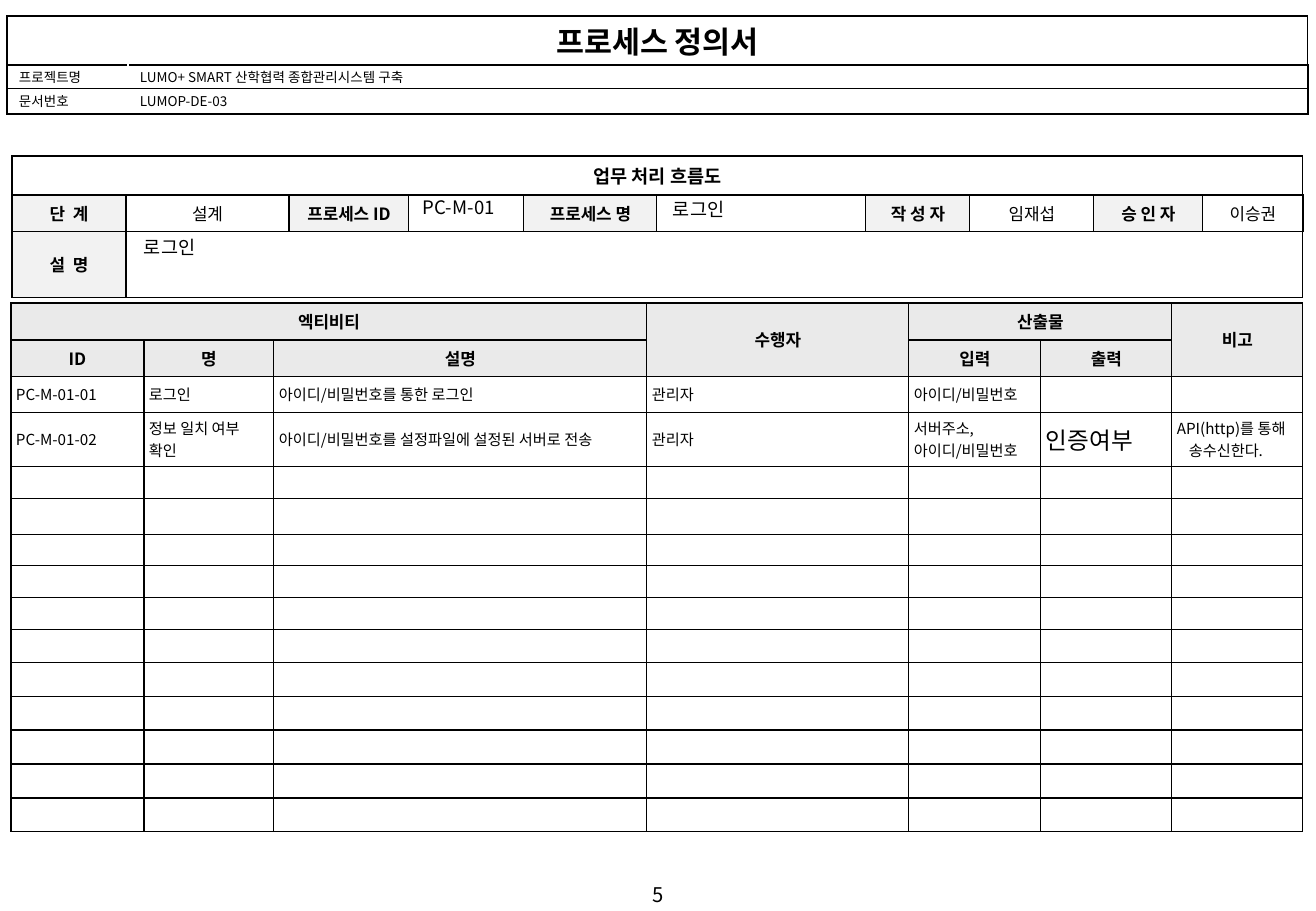
from lxml import etree
from pptx import Presentation
from pptx import util as u
from pptx.dml.color import RGBColor
from pptx.enum import text
from pptx.oxml.ns import qn

PX = 7526
THEME = {
    "font": "Noto Sans CJK KR", "latin": "Arial",
    "ink": "000000", "paper": "FFFFFF", "label": "F2F2F2", "header": "EAEAEA",
    "title": 18, "result": 14, "page": 12, "heading": 11, "head": 10, "body": 9, "small": 8,
}
LEFT, CENTER = text.PP_ALIGN.LEFT, text.PP_ALIGN.CENTER


def write(text_frame, words, size, bold=False, align=LEFT, font=THEME["font"]):
    for index, line in enumerate(words.split("\n")):
        paragraph = text_frame.paragraphs[0] if index == 0 else text_frame.add_paragraph()
        paragraph.alignment = align
        if not line:
            etree.SubElement(paragraph._p, qn("a:endParaRPr"), sz=str(THEME["small"] * 100))
            continue
        run = paragraph.add_run()
        run.text = line
        run.font.size = u.Pt(THEME[size])
        run.font.bold = bold
        run.font.name = font
        run.font.color.rgb = RGBColor.from_string(THEME["ink"])
        etree.SubElement(run._r.rPr, qn("a:ea"), typeface=THEME["font"])


def add_grid(left, top, columns, rows, thick_sides, divider="ink"):
    frame = slide.shapes.add_table(len(rows), len(columns), left * PX, top * PX,
                                   sum(columns) * PX, sum(rows) * PX)
    table = frame.table
    table.first_row = table.horz_banding = False
    for column, width in zip(table.columns, columns):
        column.width = width * PX
    for row, height in zip(table.rows, rows):
        row.height = height * PX
    for row in range(len(rows)):
        for column in range(len(columns)):
            cell = table.cell(row, column)
            edges = {"L": column == 0, "R": column == len(columns) - 1,
                     "T": row == 0, "B": row == len(rows) - 1}
            for side, outer in edges.items():
                thick = outer and side in thick_sides
                inner_vertical = side in "LR" and not outer and row > 0
                line = etree.SubElement(cell._tc.get_or_add_tcPr(), qn("a:ln" + side),
                                        w=str(u.Pt(1 if thick else 0.75)))
                fill = etree.SubElement(line, qn("a:solidFill"))
                etree.SubElement(fill, qn("a:srgbClr"),
                                 val=THEME[divider if inner_vertical else "ink"])
            cell.fill.solid()
            cell.fill.fore_color.rgb = RGBColor.from_string(THEME["paper"])
            cell.vertical_anchor = text.MSO_ANCHOR.MIDDLE
            cell.margin_left = cell.margin_right = 12 * PX
            cell.margin_top = cell.margin_bottom = 6 * PX
    return table


presentation = Presentation()
presentation.slide_width = 1316 * PX
presentation.slide_height = 911 * PX
slide = presentation.slides.add_slide(presentation.slide_layouts[6])

document = add_grid(7, 16, [121, 1180], [49, 24, 25], "LTRB", divider="paper")
document.cell(0, 0).merge(document.cell(0, 1))
document_rows = [
    ["프로세스 정의서", ""],
    ["프로젝트명", "LUMO+ SMART 산학협력 종합관리시스템 구축"],
    ["문서번호", "LUMOP-DE-03"],
]
for row, values in enumerate(document_rows):
    for column, words in enumerate(values):
        cell = document.cell(row, column)
        cell.vertical_anchor = text.MSO_ANCHOR.TOP
        cell.margin_top = cell.margin_bottom = 2 * PX
        if row == 0:
            write(cell.text_frame, words, "title", True, CENTER)
        else:
            write(cell.text_frame, words, "small")

process = add_grid(12, 156, [114, 163, 120, 115, 133, 209, 104, 124, 109, 100],
                   [39, 36, 66], "LTRB")
process.cell(0, 0).merge(process.cell(0, 9))
process.cell(2, 1).merge(process.cell(2, 9))
process_rows = [
    ["업무 처리 흐름도"] + [""] * 9,
    ["단  계", "설계", "프로세스 ID", "", "프로세스 명", "", "작 성 자", "임재섭", "승 인 자", "이승권"],
    ["설  명"] + [""] * 9,
]
for row, values in enumerate(process_rows):
    for column, words in enumerate(values):
        cell = process.cell(row, column)
        is_label = row > 0 and column % 2 == 0 and words != ""
        if is_label:
            cell.fill.fore_color.rgb = RGBColor.from_string(THEME["label"])
        write(cell.text_frame, words, "heading" if row == 0 else "head",
              is_label or row == 0, CENTER)

activities = add_grid(11, 303, [133, 130, 373, 262, 132, 131, 131],
                      [37, 36, 36, 54, 32, 36, 31, 32, 32, 33] + [34] * 5, "L")
for first, last in [((0, 0), (0, 2)), ((0, 3), (1, 3)), ((0, 4), (0, 5)), ((0, 6), (1, 6))]:
    activities.cell(*first).merge(activities.cell(*last))
activity_rows = [
    ["엑티비티", "", "", "수행자", "산출물", "", "비고"],
    ["ID", "명", "설명", "", "입력", "출력", ""],
    ["PC-M-01-01", "로그인", "아이디/비밀번호를 통한 로그인", "관리자", "아이디/비밀번호", "", ""],
    ["PC-M-01-02", "정보 일치 여부\n확인", "아이디/비밀번호를 설정파일에 설정된 서버로 전송", "관리자",
     "서버주소,\n아이디/비밀번호", "인증여부", "API(http)를 통해 송수신한다."],
] + [[""] * 7] * 11
for row, values in enumerate(activity_rows):
    for column, words in enumerate(values):
        cell = activities.cell(row, column)
        if row < 2:
            cell.fill.fore_color.rgb = RGBColor.from_string(THEME["header"])
            write(cell.text_frame, words, "head", True, CENTER)
            continue
        cell.fill.background()
        cell.margin_left = cell.margin_right = cell.margin_top = cell.margin_bottom = 5 * PX
        if words == "인증여부":
            write(cell.text_frame, words, "result", font=THEME["latin"])
        else:
            write(cell.text_frame, words, "body")
note_properties = activities.cell(3, 6).text_frame.paragraphs[0]._p.get_or_add_pPr()
note_properties.set("marL", str(12 * PX))
note_properties.set("indent", str(-12 * PX))

labels = [
    ("5", 0, 876, 1316, 36, "page", CENTER),
    ("PC-M-01", 411, 190, 113, 35, "heading", LEFT),
    ("로그인", 661, 192, 208, 35, "heading", LEFT),
    ("로그인", 132, 230, 1158, 35, "heading", LEFT),
]
for words, left, top, width, height, size, align in labels:
    box = slide.shapes.add_textbox(left * PX, top * PX, width * PX, height * PX)
    box.text_frame.word_wrap = True
    write(box.text_frame, words, size, align=align)

presentation.save("out.pptx")
